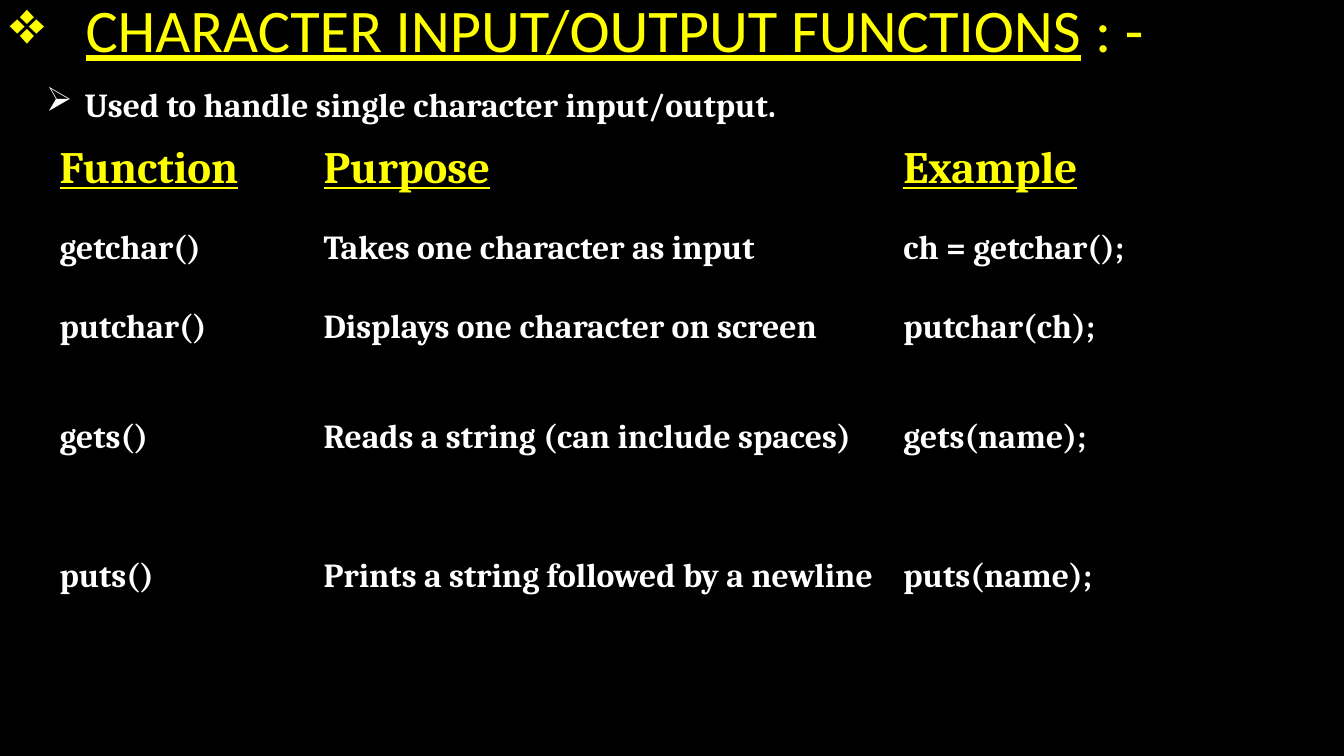
"""Build a slide that lists the character input and output functions of C."""
import pptx
import pptx.util
import pptx.dml.color
import pptx.enum.text
import pptx.oxml
import pptx.oxml.ns
import lxml.etree

COLORS = {"back": "000000", "accent": "FFFF00", "text": "FFFFFF"}
W, H = pptx.util.Inches(13.33), pptx.util.Inches(7.5)
MIDDLE = pptx.enum.text.MSO_ANCHOR.MIDDLE


def add_run(p, text, size, font, color, bold=False, underline=False):
    r = p.add_run()
    r.text = text
    r.font.size = pptx.util.Pt(size)
    r.font.name = font
    r.font.bold = bold
    r.font.underline = underline
    r.font.color.rgb = pptx.dml.color.RGBColor.from_string(COLORS[color])


def add_bullet_box(s, left, top, width, height, bullet, indent, color):
    sp = s.shapes.add_textbox(int(W * left), int(H * top), int(W * width), int(H * height))
    tf = sp.text_frame
    tf.word_wrap = True
    tf.vertical_anchor = MIDDLE
    p = tf.paragraphs[0]
    pPr = p._p.get_or_add_pPr()
    pPr.set("marL", str(pptx.util.Inches(indent)))
    pPr.set("indent", str(-pptx.util.Inches(indent)))
    buClr = lxml.etree.SubElement(pPr, pptx.oxml.ns.qn("a:buClr"))
    lxml.etree.SubElement(buClr, pptx.oxml.ns.qn("a:srgbClr")).set("val", COLORS[color])
    lxml.etree.SubElement(pPr, pptx.oxml.ns.qn("a:buChar")).set("char", bullet)
    return p


prs = pptx.Presentation()
prs.slide_width, prs.slide_height = W, H
s = prs.slides.add_slide(prs.slide_layouts[6])
s.background.fill.solid()
s.background.fill.fore_color.rgb = pptx.dml.color.RGBColor.from_string(COLORS["back"])

p = add_bullet_box(s, 0, -0.036, 1, 0.159, "❖", 0.75, "accent")
p.line_spacing = 0.9
add_run(p, "CHARACTER INPUT/OUTPUT FUNCTIONS", 43.2, "Calibri", "accent", underline=True)
add_run(p, " : -", 43.2, "Calibri", "accent")

p = add_bullet_box(s, 0.027, 0.105, 0.925, 0.065, "➢", 0.38, "text")
add_run(p, "Used to handle single character input/output.", 24, "Cambria", "text", bold=True)

rows = [
    ("Function", "Purpose", "Example"),
    ("getchar()", "Takes one character as input", "ch = getchar();"),
    ("putchar()", "Displays one character on screen", "putchar(ch);"),
    ("gets()", "Reads a string (can include spaces)", "gets(name);"),
    ("puts()", "Prints a string followed by a newline", "puts(name);"),
]
col_widths = [2.62, 5.75, 4.18]
row_heights = [0.79] * 3 + [1.38] * 2
frame = s.shapes.add_table(
    len(rows), len(col_widths), pptx.util.Inches(0.49), pptx.util.Inches(1.28),
    pptx.util.Inches(sum(col_widths)), pptx.util.Inches(sum(row_heights)))
table = frame.table
table.first_row = table.horz_banding = False
style = table._tbl.tblPr.find(pptx.oxml.ns.qn("a:tableStyleId"))
style.text = "{2D5ABB26-0587-4C30-8999-92F81FD0307C}"
for col, width in zip(table.columns, col_widths):
    col.width = pptx.util.Inches(width)
for i, (row, height) in enumerate(zip(table.rows, row_heights)):
    row.height = pptx.util.Inches(height)
    header = i == 0
    for cell, text in zip(row.cells, rows[i]):
        cell.fill.background()
        cell.vertical_anchor = MIDDLE
        add_run(cell.text_frame.paragraphs[0], text, 32 if header else 24, "Cambria",
                "accent" if header else "text", bold=True, underline=header)

prs.save("out.pptx")
